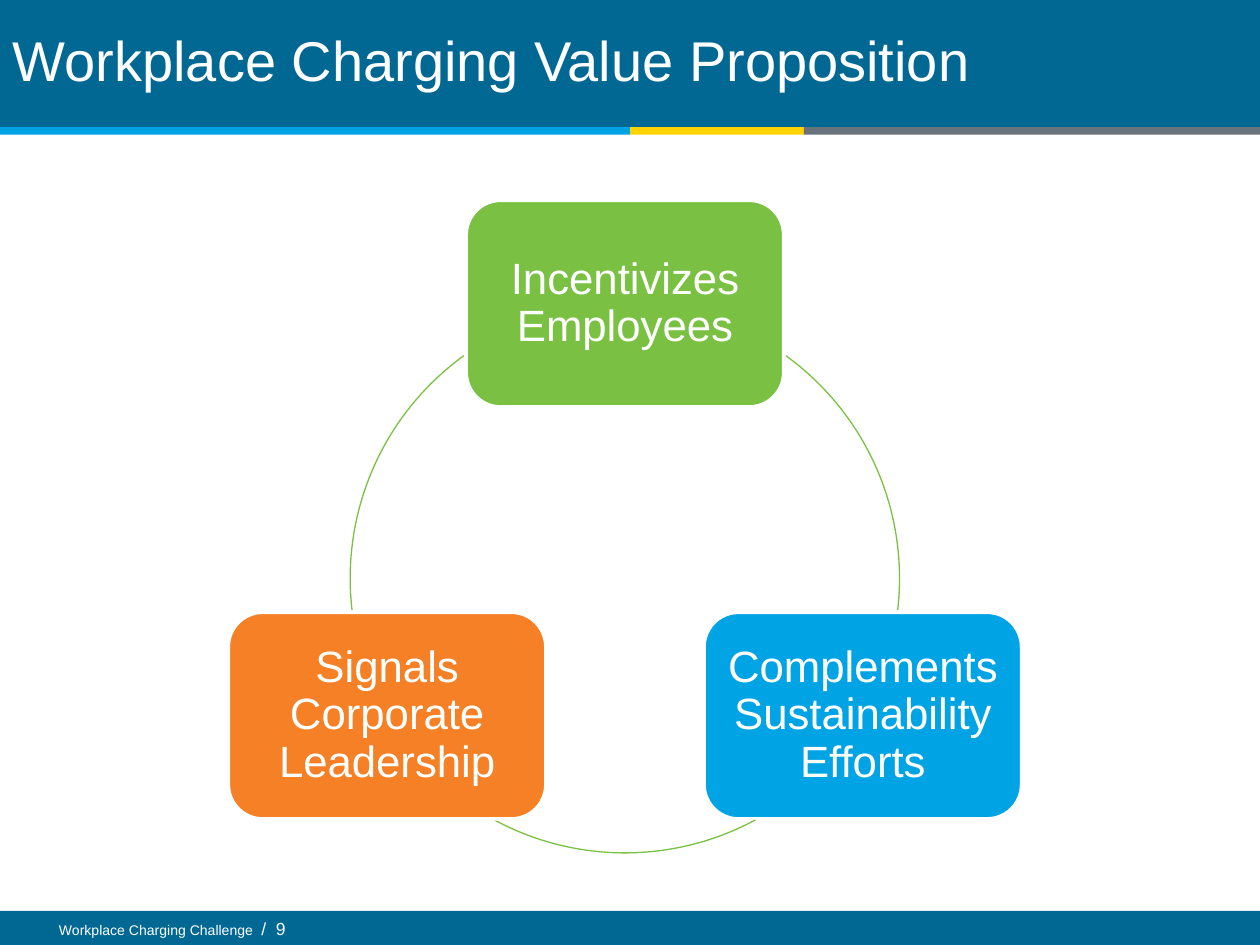
import math
import pptx
import pptx.util
import pptx.dml.color
import pptx.enum.shapes
import pptx.enum.text

Inches, Pt = pptx.util.Inches, pptx.util.Pt
SHAPES = pptx.enum.shapes.MSO_SHAPE
ALIGN = pptx.enum.text.PP_ALIGN
ANCHOR = pptx.enum.text.MSO_ANCHOR

TITLE = "Workplace Charging Value Proposition"
FOOTER = [("Workplace Charging Challenge  ", 8), ("/  9", 10)]
BANDS = [
    (0, 0, 10, 1.01, "006892"),
    (0, 7.23, 10, 0.27, "006892"),
    (0, 1.01, 5, 0.06, "00A4E4"),
    (5, 1.01, 1.38, 0.06, "FFD200"),
    (6.38, 1.01, 3.62, 0.06, "6A737B"),
]
NODES = [
    ("Incentivizes Employees", "7AC143"),
    ("Complements Sustainability Efforts", "00A4E4"),
    ("Signals Corporate Leadership", "F58025"),
]
ARCS = [(305.9, 6.6), (61.6, 118.4), (173.4, 234.1)]
CENTER_X, CENTER_Y, RADIUS = 4.96, 4.59, 2.18
NODE_WIDTH, NODE_HEIGHT = 2.52, 1.64


def color(value):
    return pptx.dml.color.RGBColor.from_string(value)


def add_shape(slide, kind, left, top, width, height, fill=None, line=None, weight=1):
    shape = slide.shapes.add_shape(
        kind, Inches(left), Inches(top), Inches(width), Inches(height))
    shape.shadow.inherit = False
    if fill:
        shape.fill.solid()
        shape.fill.fore_color.rgb = color(fill)
    else:
        shape.fill.background()
    if line:
        shape.line.color.rgb = color(line)
        shape.line.width = Pt(weight)
    else:
        shape.line.fill.background()
    return shape


def format_font(font, size):
    font.name = "Arial"
    font.size = Pt(size)
    font.color.rgb = color("FFFFFF")


def add_title(slide):
    title = slide.shapes.title
    title.left, title.top = Inches(0), Inches(0)
    title.width, title.height = Inches(9.92), Inches(1.08)
    title.text_frame.text = TITLE
    title.text_frame.vertical_anchor = ANCHOR.MIDDLE
    paragraph = title.text_frame.paragraphs[0]
    paragraph.alignment = ALIGN.LEFT
    paragraph.line_spacing = Pt(28)
    format_font(paragraph.runs[0].font, 32)


def add_footer(slide):
    box = slide.shapes.add_textbox(Inches(0.37), Inches(7.24), Inches(7.74), Inches(0.26))
    box.text_frame.word_wrap = True
    for text, size in FOOTER:
        run = box.text_frame.paragraphs[0].add_run()
        run.text = text
        format_font(run.font, size)


def add_node(slide, index, text, fill):
    angle = math.radians(-90 + index * 360 / len(NODES))
    left = CENTER_X + RADIUS * math.cos(angle) - NODE_WIDTH / 2
    top = CENTER_Y + RADIUS * math.sin(angle) - NODE_HEIGHT / 2
    node = add_shape(slide, SHAPES.ROUNDED_RECTANGLE, left, top,
                     NODE_WIDTH, NODE_HEIGHT, fill, "FFFFFF", 2)
    frame = node.text_frame
    frame.text = text
    frame.word_wrap = True
    frame.vertical_anchor = ANCHOR.MIDDLE
    frame.margin_left = frame.margin_right = Inches(0.1)
    frame.margin_top = frame.margin_bottom = Inches(0.1)
    paragraph = frame.paragraphs[0]
    paragraph.alignment = ALIGN.CENTER
    paragraph.line_spacing = 0.9
    format_font(paragraph.runs[0].font, 25)


def add_arc(slide, start, end):
    arc = add_shape(slide, SHAPES.ARC, CENTER_X - RADIUS, CENTER_Y - RADIUS,
                    2 * RADIUS, 2 * RADIUS, line="7AC143", weight=0.75)
    for position, degrees in enumerate((start, end)):
        arc.adjustments[position] = degrees * 0.6


def main():
    presentation = pptx.Presentation()
    presentation.slide_width, presentation.slide_height = Inches(10), Inches(7.5)
    slide = presentation.slides.add_slide(presentation.slide_layouts.get_by_name("Title Only"))
    for left, top, width, height, fill in BANDS:
        add_shape(slide, SHAPES.RECTANGLE, left, top, width, height, fill)
    add_title(slide)
    title_element = slide.shapes.title.element
    title_element.getparent().append(title_element)
    add_footer(slide)
    for index, (text, fill) in enumerate(NODES):
        add_node(slide, index, text, fill)
        add_arc(slide, *ARCS[index])
    presentation.save("out.pptx")


if __name__ == "__main__":
    main()
